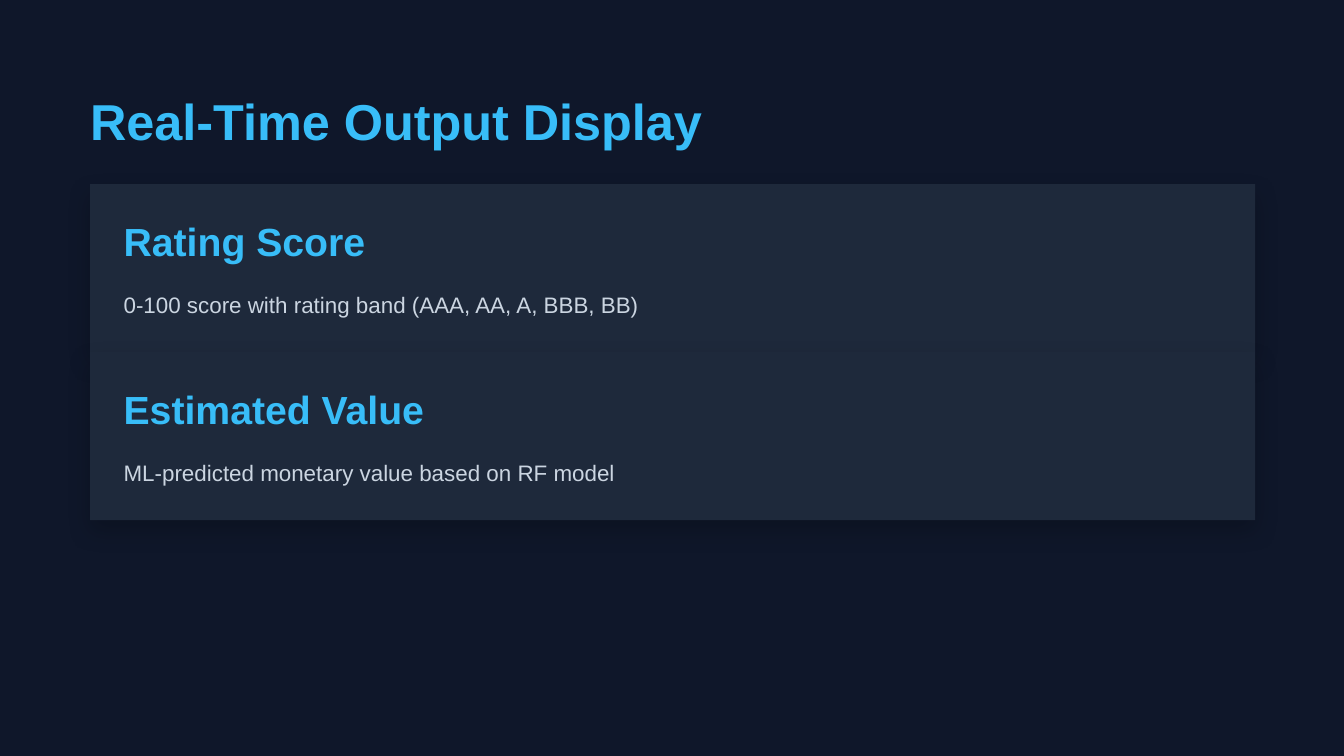
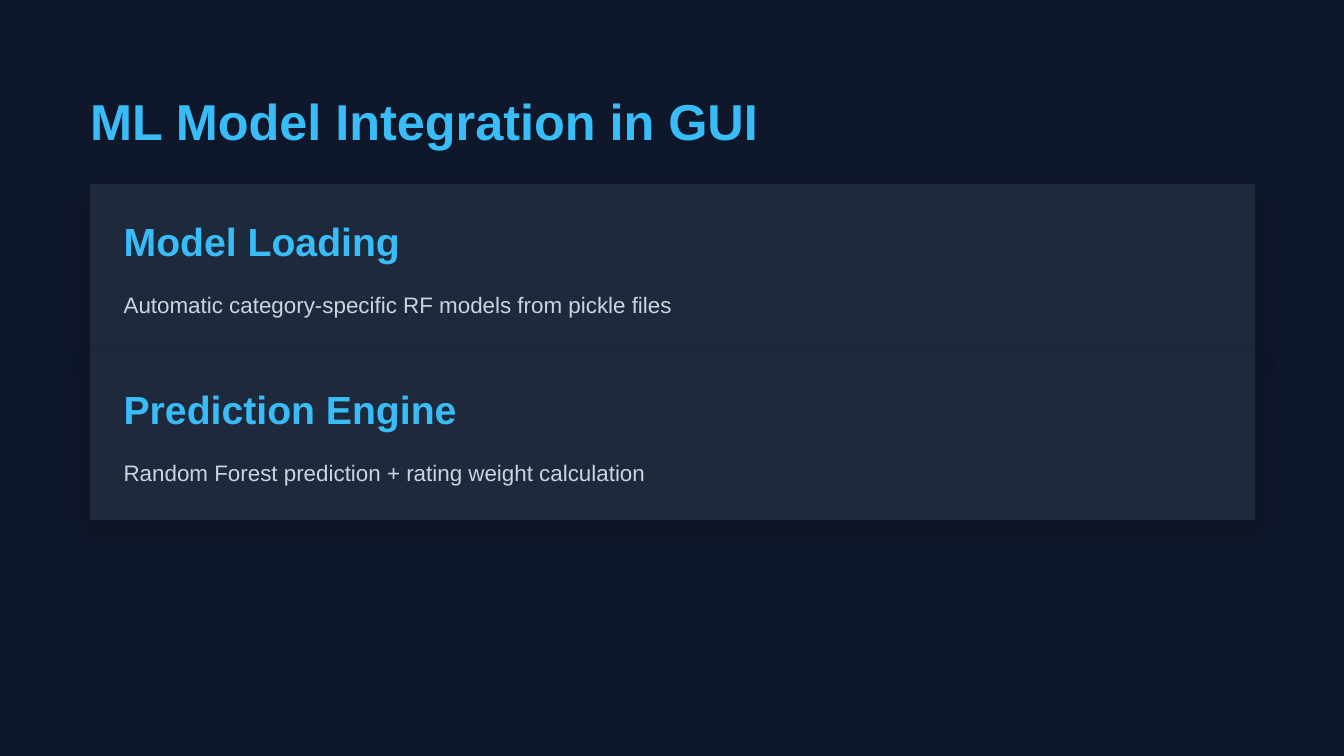
from lxml import etree
from pptx import Presentation
from pptx.dml.color import RGBColor
from pptx.enum.shapes import MSO_SHAPE
from pptx.oxml.ns import qn
from pptx.util import Inches, Pt

RECT = MSO_SHAPE.RECTANGLE
FONT = "Arial"
NAVY, SLATE, SKY, MIST, BLACK = "0F172A", "1E293B", "38BDF8", "CBD5E1", "000000"

SLIDES = [
    ("Real-Time Output Display", [
        ("Rating Score", "0-100 score with rating band (AAA, AA, A, BBB, BB)"),
        ("Estimated Value", "ML-predicted monetary value based on RF model"),
    ]),
    ("ML Model Integration in GUI", [
        ("Model Loading", "Automatic category-specific RF models from pickle files"),
        ("Prediction Engine", "Random Forest prediction + rating weight calculation"),
    ]),
]

MARGIN = 0.67
CARD_TOP, CARD_W, CARD_H = 1.37, 8.67, 1.25
PAD = 0.25
TEXT_W = 8.33
BODY_OFFSET = 0.76


def rgb(color):
    return RGBColor.from_string(color)


def add_shadow(sp, color, opacity, blur, distance, angle):
    sp.shadow.inherit = False
    effects = sp._element.spPr.find(qn("a:effectLst"))
    shadow = etree.SubElement(
        effects, qn("a:outerShdw"), blurRad=str(Pt(blur)), dist=str(Pt(distance)),
        dir=str(angle * 60000), algn="ctr", rotWithShape="0")
    tint = etree.SubElement(shadow, qn("a:srgbClr"), val=color)
    etree.SubElement(tint, qn("a:alpha"), val=str(opacity * 1000))


def add_card(s, top):
    sp = s.shapes.add_shape(RECT, Inches(MARGIN), Inches(top), Inches(CARD_W), Inches(CARD_H))
    sp.fill.solid()
    sp.fill.fore_color.rgb = rgb(SLATE)
    sp.line.fill.background()
    add_shadow(sp, BLACK, opacity=20, blur=12, distance=6, angle=90)


def add_text(s, text, left, top, width, height, size, spacing, color, bold=False):
    tf = s.shapes.add_textbox(Inches(left), Inches(top), Inches(width), Inches(height)).text_frame
    tf.word_wrap = True
    tf.margin_left = tf.margin_top = tf.margin_right = tf.margin_bottom = 0
    p = tf.paragraphs[0]
    p.text = text
    p.line_spacing = Pt(spacing)
    p.font.name = FONT
    p.font.size = Pt(size)
    p.font.bold = bold
    p.font.color.rgb = rgb(color)


def add_slide(prs, title, cards):
    s = prs.slides.add_slide(prs.slide_layouts[6])
    s.background.fill.solid()
    s.background.fill.fore_color.rgb = rgb(NAVY)
    tops = [CARD_TOP + i * CARD_H for i in range(len(cards))]
    for top in tops:
        add_card(s, top)
    add_text(s, title, MARGIN, 0.67, 8.84, 0.45, 27, 32.4, SKY, bold=True)
    left = MARGIN + PAD
    for top, (heading, body) in zip(tops, cards):
        add_text(s, heading, left, top + PAD, TEXT_W, 0.35, 21, 25.2, SKY, bold=True)
        add_text(s, body, left, top + BODY_OFFSET, TEXT_W, 0.23, 12, 16.8, MIST)


def main():
    prs = Presentation()
    prs.slide_width = Inches(10)
    prs.slide_height = Inches(10 * 9 / 16)
    for title, cards in SLIDES:
        add_slide(prs, title, cards)
    prs.save("out.pptx")


if __name__ == "__main__":
    main()
